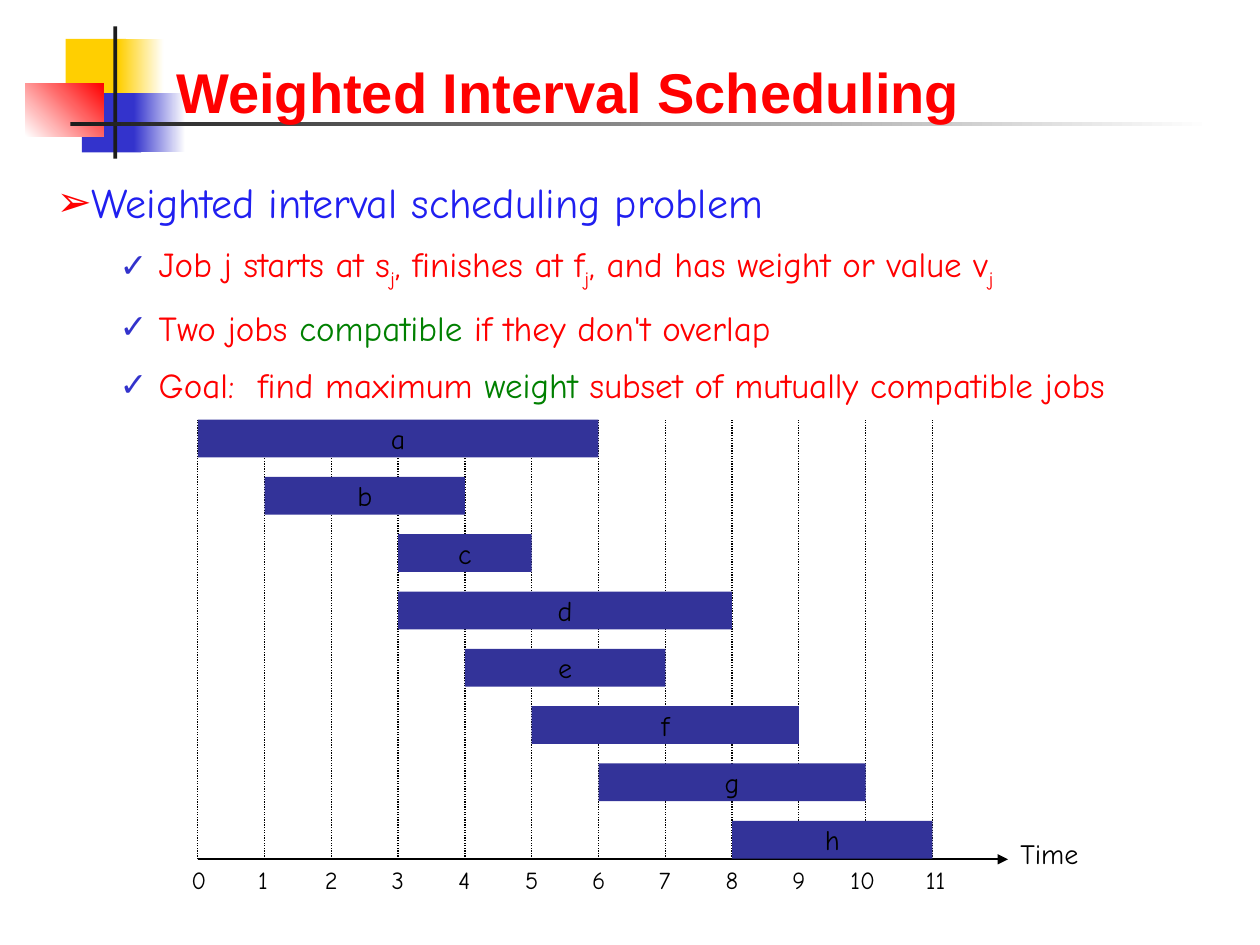
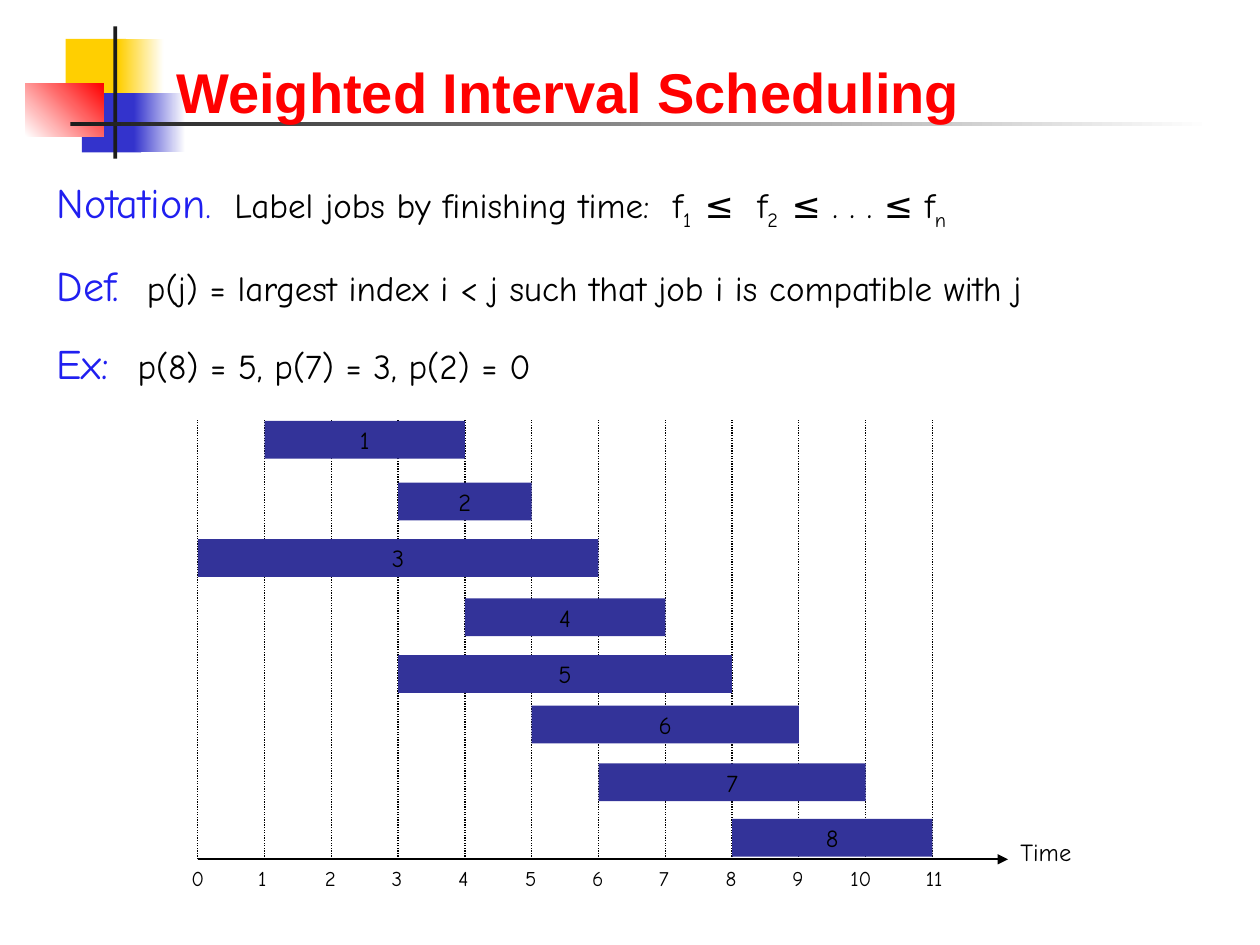
"""Build two slides on weighted interval scheduling."""
from dataclasses import dataclass
from typing import Optional

from lxml.etree import SubElement
from pptx import Presentation
from pptx.dml.color import RGBColor
from pptx.enum.dml import MSO_LINE_DASH_STYLE as DASH
from pptx.enum.shapes import MSO_CONNECTOR as CONN, MSO_SHAPE as SHAPE
from pptx.enum.text import MSO_ANCHOR as ANCHOR, MSO_AUTO_SIZE as AUTOSIZE, PP_ALIGN as ALIGN
from pptx.oxml.ns import qn
from pptx.util import Inches, Pt

RED, BLUE, GREEN, BLACK = "FF0000", "201FF0", "008000", "000000"
GOLD, INDIGO, CHARCOAL, WHITE, BAR = "FFCF01", "3333CC", "1C1C1C", "FFFFFF", "333399"
TITLE_FONT, TEXT_FONT = "Arial", "Comic Neue"
AXIS_LEFT, AXIS_RIGHT, AXIS_Y = 1.57, 8.0, 6.82
GRID_TOP, UNIT, LAST_TICK = 3.33, 0.53, 11
ROW_STEP, BAR_HEIGHT = 0.455, 0.3
TICK_NUDGE = {10: -0.07}


@dataclass
class Block:
    left: float
    top: float
    width: float
    height: float
    start: str
    end: Optional[str] = None
    angle: int = 0


@dataclass
class Span:
    text: str
    color: str
    size: int = 20
    sub: bool = False


@dataclass
class Para:
    spans: list[Span]
    level: int = 0
    bullet: str = ""
    bullet_color: str = RED
    before: int = 13


@dataclass
class Job:
    label: str
    start: int
    finish: int
    top: float


BAND = [
    Block(0.52, 0.31, 0.48, 0.47, GOLD),
    Block(0.94, 0.31, 0.36, 0.47, GOLD, WHITE),
    Block(0.65, 0.74, 0.47, 0.47, INDIGO),
    Block(1.06, 0.74, 0.41, 0.47, INDIGO, WHITE),
    Block(0.2, 0.66, 0.62, 0.42, WHITE, RED, 45),
    Block(0.9, 0.21, 0.03, 1.05, CHARCOAL),
    Block(0.56, 0.97, 9.06, 0.03, CHARCOAL, WHITE),
]


def check(*spans: Span) -> Para:
    """Return a second-level paragraph with a check mark."""
    return Para(list(spans), 1, "✓", INDIGO, 9)


PROBLEM = [
    Para([Span("Weighted interval scheduling problem", BLUE, 24)], bullet="➢"),
    check(Span("Job j starts at s", RED), Span("j", RED, sub=True),
          Span(", finishes at f", RED), Span("j", RED, sub=True),
          Span(", and has weight or value v", RED), Span("j", RED, sub=True)),
    check(Span("Two jobs ", RED), Span("compatible ", GREEN),
          Span("if they don't overlap", RED)),
    check(Span("Goal:  find maximum ", RED), Span("weight ", GREEN),
          Span("subset of mutually compatible jobs", RED)),
]
NOTATION = [
    Para([Span("Notation", BLUE, 24), Span(".  ", BLUE),
          Span("Label jobs by finishing time:  f", BLACK), Span("1  ", BLACK, sub=True),
          Span("≤  f", BLACK), Span("2  ", BLACK, sub=True),
          Span("≤ . . . ≤ f", BLACK), Span("n", BLACK, sub=True)]),
    Para([Span("Def.  ", BLUE, 24),
          Span("p(j) = largest index i < j such that job i is compatible with j", BLACK)]),
    Para([Span("Ex:  ", BLUE, 24), Span("p(8) = 5, p(7) = 3, p(2) = 0", BLACK)]),
]

INTERVALS = [(0, 6), (1, 4), (3, 5), (3, 8), (4, 7), (5, 9), (6, 10), (8, 11)]
LETTERED = [Job(label, *interval, GRID_TOP + row * ROW_STEP)
            for row, (label, interval) in enumerate(zip("abcdefgh", INTERVALS))]
SORTED_TOPS = [3.34, 3.83, 4.28, 4.75, 5.2, 5.6, 6.06, 6.5]
BY_FINISH = sorted(INTERVALS, key=lambda interval: interval[1])
NUMBERED = [Job(str(number), *interval, top)
            for number, (interval, top) in enumerate(zip(BY_FINISH, SORTED_TOPS), 1)]


def rgb(color: str) -> RGBColor:
    """Turn a hex string into a colour."""
    return RGBColor.from_string(color)


def style(font, size: int, color: str, name: str = TEXT_FONT, bold: bool = False) -> None:
    """Set the look of a font."""
    font.size, font.name, font.bold = Pt(size), name, bold
    font.color.rgb = rgb(color)


def time_x(time: float) -> float:
    """Return the horizontal place of a time on the axis."""
    return AXIS_LEFT + time * UNIT


def add_block(shapes, block: Block):
    """Draw a rectangle with a plain or gradient fill."""
    sp = shapes.add_shape(SHAPE.RECTANGLE, Inches(block.left), Inches(block.top),
                          Inches(block.width), Inches(block.height))
    sp.shadow.inherit = False
    sp.line.fill.background()
    if block.end is None:
        sp.fill.solid()
        sp.fill.fore_color.rgb = rgb(block.start)
    else:
        sp.fill.gradient()
        sp.fill.gradient_angle = block.angle
        for stop, color in zip(sp.fill.gradient_stops, (block.start, block.end)):
            stop.color.rgb = rgb(color)
    return sp


def add_band(slide, layout) -> None:
    """Draw the band of squares and lines at the back of the layout."""
    group = slide.shapes.add_group_shape()
    for block in BAND:
        add_block(group.shapes, block)
    for number, props in enumerate(group.element.iter(qn("p:cNvPr")), 100):
        props.set("id", str(number))
    layout.shapes.element.insert(2, group.element)


def add_line(shapes, x1: float, y1: float, x2: float, y2: float, width: float):
    """Draw a black line without a shadow."""
    line = shapes.add_connector(CONN.STRAIGHT, Inches(x1), Inches(y1), Inches(x2), Inches(y2))
    line.line.color.rgb = rgb(BLACK)
    line.line.width = Pt(width)
    SubElement(line.element.spPr, qn("a:effectLst"))
    return line


def add_label(shapes, text: str, left: float, top: float, width: float, size: int) -> None:
    """Write a label beside the axis."""
    box = shapes.add_textbox(Inches(left), Inches(top), Inches(width), Inches(0.37))
    tf = box.text_frame
    tf.word_wrap = True
    tf.text = text
    style(tf.paragraphs[0].runs[0].font, size, BLACK)


def add_bar(shapes, job: Job, size: int) -> None:
    """Draw a job as a bar over its interval."""
    sp = add_block(shapes, Block(time_x(job.start), job.top,
                                 (job.finish - job.start) * UNIT, BAR_HEIGHT, BAR))
    tf = sp.text_frame
    tf.word_wrap = False
    tf.vertical_anchor = ANCHOR.MIDDLE
    tf.text = job.label
    tf.paragraphs[0].alignment = ALIGN.CENTER
    style(tf.paragraphs[0].runs[0].font, size, BLACK)


def add_timeline(slide, jobs: list[Job], size: int) -> None:
    """Draw the time axis, its grid and the jobs."""
    shapes = slide.shapes.add_group_shape().shapes
    axis = add_line(shapes, AXIS_LEFT, AXIS_Y, AXIS_RIGHT, AXIS_Y, 1.25)
    SubElement(axis.line._get_or_add_ln(), qn("a:tailEnd"), type="triangle")
    add_label(shapes, "Time", AXIS_RIGHT, 6.59, 0.83, size)
    for tick in range(LAST_TICK + 1):
        x = time_x(tick)
        add_line(shapes, x, AXIS_Y, x, GRID_TOP, 0.75).line.dash_style = DASH.ROUND_DOT
        add_label(shapes, str(tick), x - 0.15 + TICK_NUDGE.get(tick, 0), AXIS_Y, 0.45, size - 2)
    for job in jobs:
        add_bar(shapes, job, size)


def place(sp, left: float, top: float, width: float, height: float) -> None:
    """Move a placeholder and keep its text size fixed."""
    sp.left, sp.top = Inches(left), Inches(top)
    sp.width, sp.height = Inches(width), Inches(height)
    sp.text_frame.auto_size = AUTOSIZE.NONE


def set_bullet(p, para: Para) -> None:
    """Set the indent and the bullet of a paragraph."""
    pPr = p._p.get_or_add_pPr()
    margin, indent = (Inches(0.81), Inches(-0.31)) if para.level else (0, 0)
    pPr.set("marL", str(margin))
    pPr.set("indent", str(indent))
    if not para.bullet:
        SubElement(pPr, qn("a:buNone"))
        return
    SubElement(SubElement(pPr, qn("a:buClr")), qn("a:srgbClr"), val=para.bullet_color)
    SubElement(pPr, qn("a:buSzPct"), val="95000" if para.level else "100000")
    SubElement(pPr, qn("a:buChar"), char=para.bullet)


def fill_body(tf, paras: list[Para]) -> None:
    """Write the paragraphs of the body."""
    for index, para in enumerate(paras):
        p = tf.add_paragraph() if index else tf.paragraphs[0]
        p.level = para.level
        set_bullet(p, para)
        p.line_spacing = 1.0 if para.level else 1.1
        p.space_before = Pt(para.before if index else 0)
        for span in para.spans:
            r = p.add_run()
            r.text = span.text
            style(r.font, span.size, span.color)
            if span.sub:
                r._r.get_or_add_rPr().set("baseline", "-25000")


def add_slide(prs, layout, paras: list[Para], body_height: float, jobs: list[Job], size: int):
    """Add a slide with a title, a body and a timeline."""
    slide = prs.slides.add_slide(layout)
    title, body = slide.placeholders
    place(title, 1.3, 0.29, 8.24, 0.75)
    tf = title.text_frame
    tf.text = "Weighted Interval Scheduling"
    tf.vertical_anchor = ANCHOR.BOTTOM
    tf.paragraphs[0].alignment = ALIGN.LEFT
    style(tf.paragraphs[0].runs[0].font, 32, RED, TITLE_FONT, True)
    place(body, 0.35, 1.31, 9.29, body_height)
    fill_body(body.text_frame, paras)
    add_timeline(slide, jobs, size)
    return slide


def main() -> None:
    """Build and save the presentation."""
    prs = Presentation()
    prs.slide_width, prs.slide_height = Inches(10), Inches(7.5)
    layout = prs.slide_layouts[1]
    first = add_slide(prs, layout, PROBLEM, 1.97, LETTERED, 16)
    add_band(first, layout)
    add_slide(prs, layout, NOTATION, 3.94, NUMBERED, 14)
    prs.save("out.pptx")


if __name__ == "__main__":
    main()
